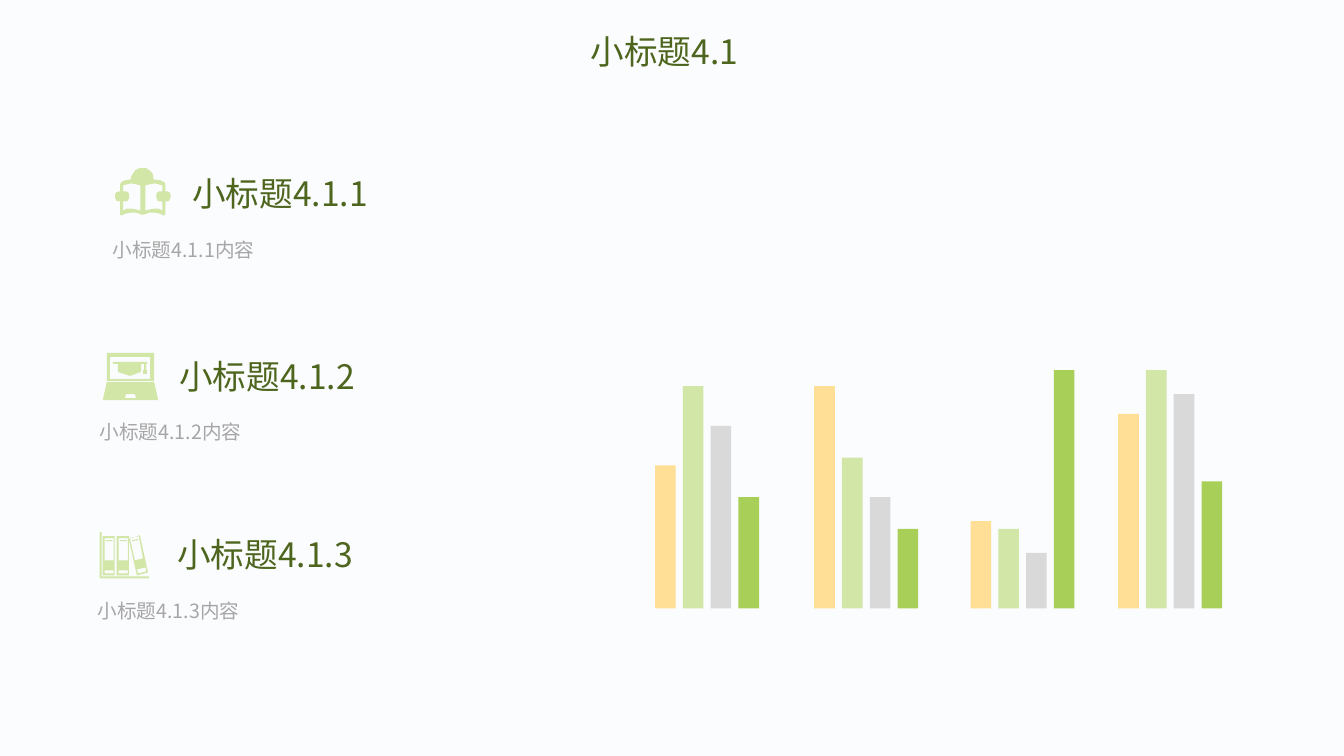
from dataclasses import dataclass

from lxml import etree
from pptx import Presentation
from pptx.dml.color import RGBColor
from pptx.enum.shapes import MSO_SHAPE
from pptx.enum.text import MSO_ANCHOR, MSO_AUTO_SIZE, PP_ALIGN
from pptx.oxml.ns import qn
from pptx.util import Cm, Pt


@dataclass(frozen=True)
class Theme:
    font: str = "Noto Sans CJK SC"
    background: str = "FBFCFE"
    heading: str = "4D651D"
    body: str = "A6A6A6"
    icon: str = "D1E6A7"
    bars: tuple = ("FFDE95", "D1E6A7", "D9D9D9", "A8D058")
    heading_size: int = 24
    body_size: int = 14


theme = Theme()


def write(shape, text, size, color):
    """Fill a text shape with one paragraph in the theme font and return it."""
    tf = shape.text_frame
    tf.text = text
    tf.word_wrap = True
    tf.auto_size = MSO_AUTO_SIZE.SHAPE_TO_FIT_TEXT
    tf.vertical_anchor = MSO_ANCHOR.TOP
    p = tf.paragraphs[0]
    font = p.runs[0].font
    font.size = Pt(size)
    font.name = theme.font
    font.color.rgb = RGBColor.from_string(color)
    ea = etree.SubElement(p.runs[0].font._element, qn("a:ea"))
    ea.set("typeface", theme.font)
    return p


def paint(shape, color):
    shape.shadow.inherit = False
    shape.fill.solid()
    shape.fill.fore_color.rgb = RGBColor.from_string(color)
    shape.line.fill.background()


prs = Presentation()
prs.slide_width, prs.slide_height = Cm(33.87), Cm(19.05)
s = prs.slides.add_slide(prs.slide_layouts[5])
s.background.fill.solid()
s.background.fill.fore_color.rgb = RGBColor.from_string(theme.background)

# Title
title = s.shapes.title
title.left, title.top, title.width, title.height = Cm(14.63), Cm(0.66), Cm(4.62), Cm(1.27)
p = write(title, "小标题4.1", theme.heading_size, theme.heading)
p.alignment = PP_ALIGN.JUSTIFY

# Bars: left edge of each cluster and its four values
clusters = [
    (16.51, (18, 28, 23, 14)),
    (20.52, (28, 19, 14, 10)),
    (24.46, (11, 10, 7, 30)),
    (28.18, (24.5, 30, 27, 16)),
]
baseline, bar_width, bar_pitch, value_height = 15.33, 0.52, 0.7, 0.2
bars = s.shapes.add_group_shape()
for left, values in clusters:
    for i, (value, color) in enumerate(zip(values, theme.bars)):
        height = value * value_height
        bar = bars.shapes.add_shape(
            MSO_SHAPE.RECTANGLE, Cm(left + i * bar_pitch), Cm(baseline - height),
            Cm(bar_width), Cm(height))
        paint(bar, color)

# Icon outlines, on a grid of 100 units to 2.54 cm; inner outlines cut holes
grid = Cm(2.54) / 100

reader_half = [
    (27.5, 46.5), (26, 46), (21, 44.5), (16, 44), (11, 45), (8, 46), (6.5, 47),
    (5.2, 46), (5, 45), (5, 33), (3.5, 33), (1, 31.8), (0, 29), (0, 26), (1, 24),
    (3.5, 23), (5, 23), (5, 16), (6, 14.5), (10, 12.3), (16.5, 11), (16.5, 8.5),
    (18, 5), (20.5, 2), (24, 0.4), (27.5, 0),
]
page = [
    (16, 40), (12, 40.3), (8, 42), (8, 33), (11, 33), (13, 31.8), (14, 29), (14, 26),
    (13, 24), (11, 23), (8, 23), (8, 17), (12, 15.5), (16, 15), (21, 15.6), (25, 17),
    (25, 42), (21, 40.6),
]
reader = [
    reader_half + [(55 - x, y) for x, y in reversed(reader_half)],
    page,
    [(55 - x, y) for x, y in page],
]
laptop = [
    [(4, 0), (51, 0), (51, 28), (4, 28)],
    [(7, 4), (47, 4), (47, 26), (7, 26)],
    [(10, 9), (44, 9), (44, 11), (43, 11), (43, 17), (44, 17), (44, 21), (40, 21), (40, 17),
     (41, 17), (41, 11), (38, 11), (38, 19), (27, 23), (15, 19), (15, 11), (10, 11)],
    [(4, 29), (51, 29), (55, 47), (0, 47)],
    [(23, 41), (22, 45), (33, 45), (32, 41)],
]
upright_binder = [(3, 4, 15, 43), (5, 6, 14, 28), (5, 38, 14, 41), (6, 8, 13, 9)]
binders = [
    [(0, 0), (2, 0), (2, 44), (49, 44), (49, 46), (0, 46)],
    [(29, 7), (37, 43), (48, 40), (40, 3)],
    [(30, 6), (35, 28), (43, 26), (39, 4)],
    [(37, 37), (38, 41), (46, 39), (46, 35)],
    [(32, 8), (32, 9), (39, 8), (38, 7)],
]
for dx in (0, 14):
    for x1, y1, x2, y2 in upright_binder:
        binders.append([(x1 + dx, y1), (x2 + dx, y1), (x2 + dx, y2), (x1 + dx, y2)])

# Items: icon, its corner, the corner of the heading, width of the body
items = [
    ("小标题4.1.1", reader, (2.9, 4.24), (4.6, 4.24), 29.18),
    ("小标题4.1.2", laptop, (2.59, 8.89), (4.27, 8.84), 12.98),
    ("小标题4.1.3", binders, (2.51, 13.41), (4.22, 13.34), 12.95),
]
for name, outlines, (icon_x, icon_y), (x, y), body_width in items:
    item = s.shapes.add_group_shape().shapes

    builder = item.build_freeform(*outlines[0][0], scale=grid)
    builder.add_line_segments(outlines[0][1:], close=True)
    for outline in outlines[1:]:
        builder.move_to(*outline[0])
        builder.add_line_segments(outline[1:], close=True)
    paint(builder.convert_to_shape(Cm(icon_x), Cm(icon_y)), theme.icon)

    heading = item.add_textbox(Cm(x), Cm(y), Cm(6.93), Cm(1.27))
    write(heading, name, theme.heading_size, theme.heading)

    body = item.add_textbox(Cm(x - 2.01), Cm(y + 1.45), Cm(body_width), Cm(0.97))
    p = write(body, name + "内容", theme.body_size, theme.body)
    p.line_spacing = 1.3

prs.save("out.pptx")
